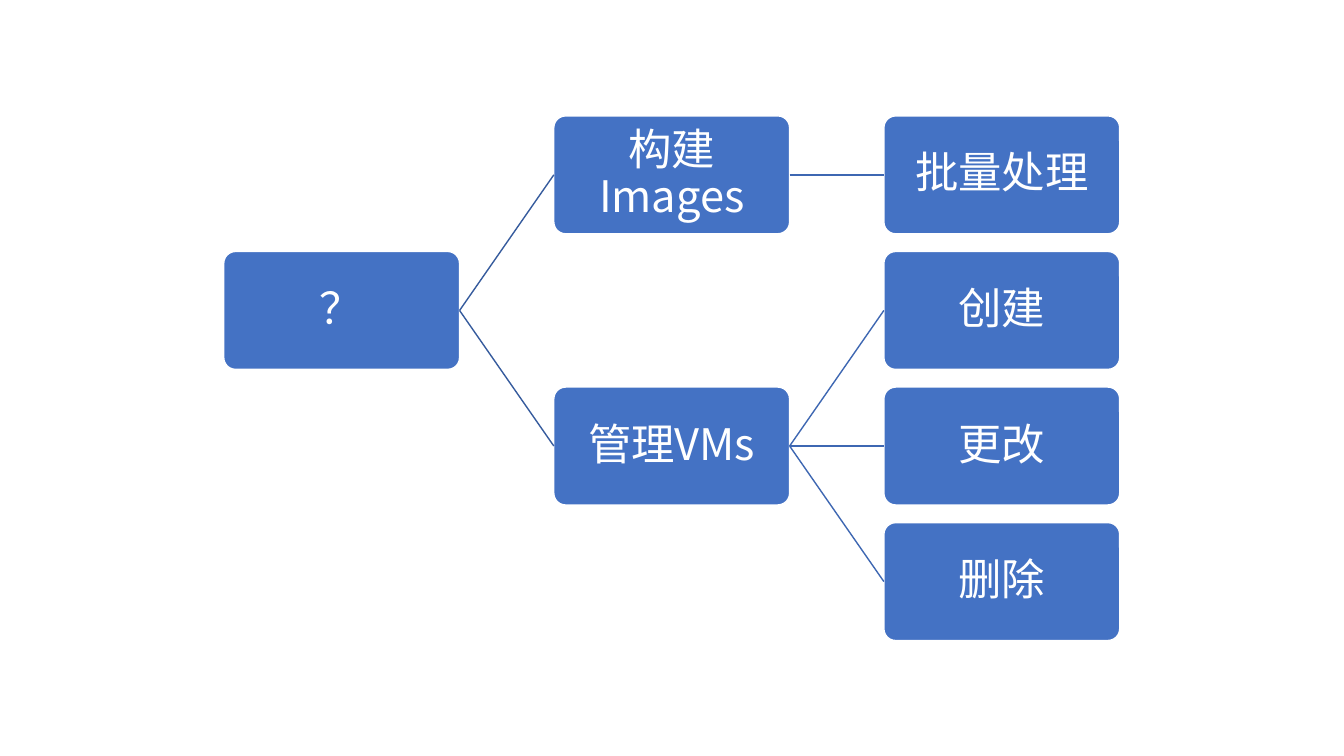
from lxml import etree
from pptx import Presentation
from pptx.dml.color import RGBColor
from pptx.enum.shapes import MSO_CONNECTOR, MSO_SHAPE
from pptx.enum.text import MSO_ANCHOR, PP_ALIGN
from pptx.oxml.ns import qn
from pptx.util import Pt

ROUNDED = MSO_SHAPE.ROUNDED_RECTANGLE
STRAIGHT = MSO_CONNECTOR.STRAIGHT
MIDDLE = MSO_ANCHOR.MIDDLE
CENTER = PP_ALIGN.CENTER

PX = 4572
SLIDE_W, SLIDE_H = 2667, 1500
TREE_LEFT, TREE_TOP = 444, 230
COLUMN_STEP, ROW_STEP = 655, 269
NODE_W, NODE_H = 468, 234
NODE_INSET = 4
LEFT_SITE, RIGHT_SITE = 1, 3

FONT = "Noto Sans CJK SC"
COLORS = {
    "node": "4472C4",
    "white": "FFFFFF",
    "root_link": "365B9D",
    "branch_link": "3E67B2",
}

ROOT = ("？", 1)
BRANCHES = [
    ("构建Images", 0, [("批量处理", 0)]),
    ("管理VMs", 2, [("创建", 1), ("更改", 2), ("删除", 3)]),
]


def px(length):
    return length * PX


def color(name):
    return RGBColor.from_string(COLORS[name])


def style_label(frame, label):
    frame.text = label
    frame.word_wrap = True
    frame.vertical_anchor = MIDDLE
    frame.margin_left = frame.margin_right = px(NODE_INSET)
    frame.margin_top = frame.margin_bottom = px(NODE_INSET)
    paragraph = frame.paragraphs[0]
    paragraph.alignment = CENTER
    paragraph.line_spacing = 0.9
    for run in paragraph.runs:
        run.font.name = FONT
        run.font.size = Pt(31)
        run.font.color.rgb = color("white")
        east_asian = etree.SubElement(run.font._element, qn("a:ea"))
        east_asian.set("typeface", FONT)


def add_node(slide, label, column, row):
    node = slide.shapes.add_shape(
        ROUNDED,
        px(TREE_LEFT + column * COLUMN_STEP),
        px(TREE_TOP + row * ROW_STEP),
        px(NODE_W),
        px(NODE_H),
    )
    node.adjustments[0] = 0.1
    node.shadow.inherit = False
    node.fill.solid()
    node.fill.fore_color.rgb = color("node")
    node.line.color.rgb = color("white")
    node.line.width = Pt(1)
    style_label(node.text_frame, label)
    return node


def add_link(slide, parent, child, color_name):
    link = slide.shapes.add_connector(STRAIGHT, 0, 0, 0, 0)
    link.begin_connect(parent, RIGHT_SITE)
    link.end_connect(child, LEFT_SITE)
    link.line.color.rgb = color(color_name)
    link.line.width = Pt(1)
    etree.SubElement(link._element.spPr, qn("a:effectLst"))


def main():
    deck = Presentation()
    deck.slide_width = px(SLIDE_W)
    deck.slide_height = px(SLIDE_H)
    slide = deck.slides.add_slide(deck.slide_layouts[6])

    root_label, root_row = ROOT
    root = add_node(slide, root_label, 0, root_row)
    for branch_label, branch_row, tasks in BRANCHES:
        branch = add_node(slide, branch_label, 1, branch_row)
        add_link(slide, root, branch, "root_link")
        for task_label, task_row in tasks:
            task = add_node(slide, task_label, 2, task_row)
            add_link(slide, branch, task, "branch_link")

    deck.save("out.pptx")


if __name__ == "__main__":
    main()
